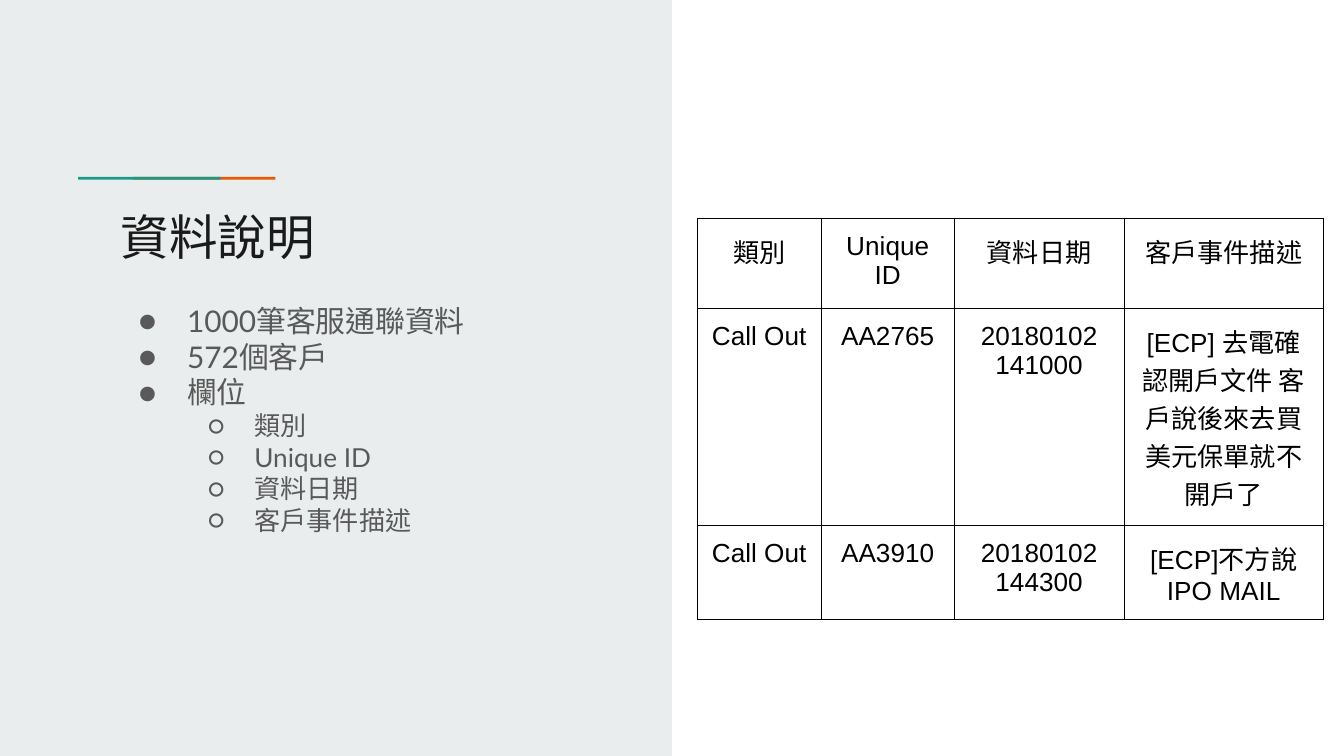
from lxml.etree import SubElement
from pptx import Presentation
from pptx.dml.color import RGBColor
from pptx.enum.lang import MSO_LANGUAGE_ID as Lang
from pptx.enum.shapes import MSO_SHAPE as Shape
from pptx.enum.text import PP_ALIGN as Align
from pptx.oxml import parse_xml
from pptx.oxml.ns import nsdecls, qn
from pptx.util import Pt

INSET = Pt(7.2)
GREY = "595959"
FIELDS = ["類別", "Unique ID", "資料日期", "客戶事件描述"]
RECORDS = [
    ["Call Out", "AA2765", "20180102 141000",
     "[ECP] 去電確認開戶文件 客戶說後來去買美元保單就不開戶了"],
    ["Call Out", "AA3910", "20180102 144300", "[ECP]不方說 IPO MAIL"],
]
COLUMN_WIDTHS = [66.5, 71.25, 91, 106.8]
ROW_HEIGHTS = [46.2, 116.3, 50.4]


def color(hex_code):
    return RGBColor.from_string(hex_code)


def style(paragraph, size, face, hex_code, east_asian=True):
    for run in paragraph.runs:
        font = run.font
        font.size, font.name = Pt(size), face
        font.color.rgb = color(hex_code)
        font.language_id = Lang.TRADITIONAL_CHINESE
        if east_asian:
            SubElement(font._element, qn("a:ea"), typeface=face)


def set_insets(target):
    target.margin_left = target.margin_right = INSET
    target.margin_top = target.margin_bottom = INSET


def add_block(slide, left, top, width, height, hex_code):
    block = slide.shapes.add_shape(
        Shape.RECTANGLE, Pt(left), Pt(top), Pt(width), Pt(height))
    block.shadow.inherit = False
    block.fill.solid()
    block.fill.fore_color.rgb = color(hex_code)
    block.line.fill.background()


def add_text_frame(slide, left, top, width, height):
    frame = slide.shapes.add_textbox(
        Pt(left), Pt(top), Pt(width), Pt(height)).text_frame
    frame.word_wrap = True
    set_insets(frame)
    return frame


def set_bullet(paragraph, mark, size, margin, indent):
    properties = paragraph._p.get_or_add_pPr()
    properties.set("marL", str(Pt(margin)))
    properties.set("indent", str(Pt(indent)))
    bullet_color = SubElement(properties, qn("a:buClr"))
    SubElement(bullet_color, qn("a:srgbClr"), val=GREY)
    SubElement(properties, qn("a:buSzPts"), val=str(size * 100))
    SubElement(properties, qn("a:buFont"), typeface="Lato")
    SubElement(properties, qn("a:buChar"), char=mark)


def add_summary(slide):
    items = [("1000筆客服通聯資料", 0), ("572個客戶", 0), ("欄位", 0)]
    items += [(field, 1) for field in FIELDS]
    frame = add_text_frame(slide, 57.2, 154.8, 260, 154)
    frame.text = "\n".join(text for text, _ in items)
    for paragraph, (_, level) in zip(frame.paragraphs, items):
        size = 16 - 2 * level
        paragraph.level = level
        set_bullet(paragraph, "●○"[level], size, 36 * (level + 1), level - 26)
        style(paragraph, size, "Lato", GREY)


def set_borders(cell):
    properties = cell._tc.get_or_add_tcPr()
    for position, side in enumerate(("lnL", "lnR", "lnT", "lnB")):
        properties.insert(position, parse_xml(
            f'<a:{side} {nsdecls("a")} w="{Pt(0.5)}"><a:solidFill>'
            f'<a:srgbClr val="000000"/></a:solidFill></a:{side}>'))


def add_records_table(slide):
    rows = [FIELDS] + RECORDS
    table = slide.shapes.add_table(
        len(rows), len(FIELDS), Pt(373.5), Pt(117),
        Pt(sum(COLUMN_WIDTHS)), Pt(sum(ROW_HEIGHTS))).table
    table.first_row = table.horz_banding = False
    for column, width in zip(table.columns, COLUMN_WIDTHS):
        column.width = Pt(width)
    for row, height, texts in zip(table.rows, ROW_HEIGHTS, rows):
        row.height = Pt(height)
        for cell, text in zip(row.cells, texts):
            cell.text = text
            cell.fill.background()
            set_insets(cell)
            set_borders(cell)
            paragraph = cell.text_frame.paragraphs[0]
            paragraph.alignment = Align.CENTER
            style(paragraph, 14, "Arial", "000000", east_asian=False)


def main():
    deck = Presentation()
    deck.slide_width, deck.slide_height = Pt(720), Pt(405)
    slide = deck.slides.add_slide(deck.slide_layouts[6])

    add_block(slide, 0, 0, 360, 405, "E9EDEE")
    add_block(slide, 71.2, 94.7, 76.4, 1.5, "EB5600")
    add_block(slide, 41.8, 94.7, 76.4, 1.5, "1A9988")

    title = add_text_frame(slide, 57.6, 103.7, 260, 133)
    title.text = "資料說明"
    style(title.paragraphs[0], 26, "Manrope", "1A1A1A")
    add_summary(slide)
    add_records_table(slide)

    deck.save("out.pptx")


if __name__ == "__main__":
    main()
